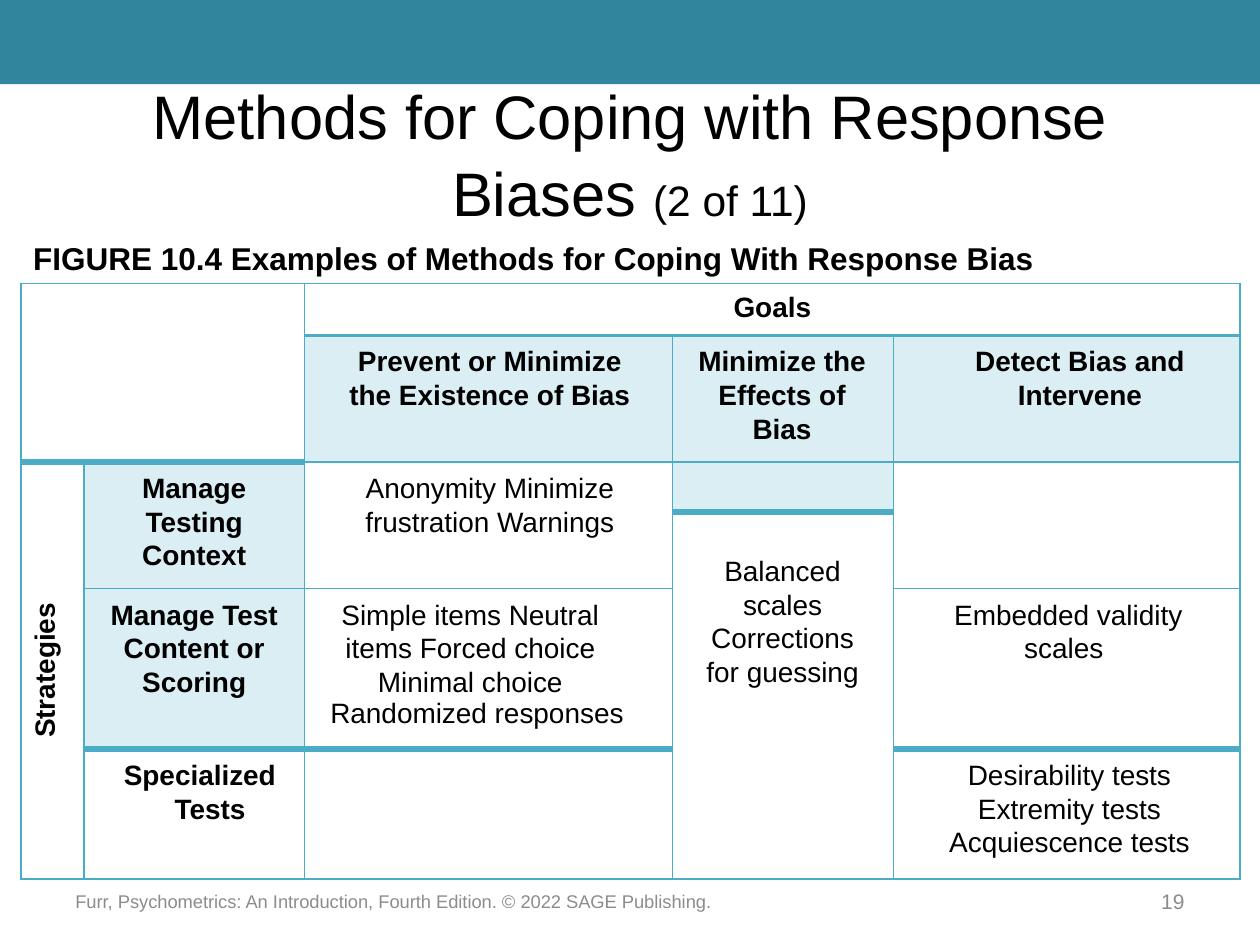
from lxml import etree
from pptx import Presentation
from pptx.dml import color
from pptx.enum import shapes, text
from pptx.oxml import ns
from pptx.util import Cm, Pt

COLORS = {"band": "31859C", "grid": "4BACC6", "ink": "000000", "muted": "8C8C8C"}
FONT = "Arial"
COLUMNS = [1.27, 4.45, 7.42, 4.45, 6.99]
ROWS = [0.99, 2.45, 0.99, 1.45, 3.07, 2.62]
MERGES = [(0, 0, 1, 1), (0, 2, 0, 4), (2, 0, 5, 0), (2, 1, 3, 1),
          (2, 2, 3, 2), (2, 4, 3, 4), (3, 3, 5, 3)]
SHADED = [(1, 2), (1, 3), (1, 4), (2, 1), (2, 3), (4, 1)]
TOP_WEIGHTS = {
    **dict.fromkeys([(1, 2), (1, 3), (1, 4)], 2),
    **dict.fromkeys([(2, 0), (2, 1), (3, 3), (5, 1), (5, 2), (5, 4)], 4),
}
PADDING = 0.18
BODY = {"spacing": 1.08}
HEADING = {"spacing": 1.08, "bold": True}
LABEL = {"bold": True}

CELLS = {
    (0, 2): [("Goals", LABEL, (0, 0, 0))],
    (1, 2): [("Prevent or Minimize the Existence of Bias", HEADING, (0.53, 0.48, 0))],
    (1, 3): [("Minimize the Effects of Bias", HEADING, (0.3, 0.34, 0))],
    (1, 4): [("Detect Bias and Intervene", HEADING, (0.56, 0.03, 0))],
    (2, 0): [("Strategies", LABEL, (0, 0, 0))],
    (2, 1): [("Manage Testing Context", HEADING, (0.48, 0.48, 0))],
    (2, 2): [("Anonymity Minimize frustration Warnings", BODY, (0.48, 0.43, 0))],
    (3, 3): [("Balanced scales Corrections for guessing", BODY, (0.41, 0.43, 0))],
    (4, 1): [("Manage Test Content or Scoring", HEADING, (0.25, 0.25, 0))],
    (4, 2): [("Simple items Neutral items Forced choice Minimal choice", BODY, (0, 0.74, 0)),
             ("Randomized responses", {}, (0.23, 0.7, 0))],
    (4, 4): [("Embedded validity scales", BODY, (0.46, 0.58, 0.18))],
    (5, 1): [("Specialized Tests", HEADING, (0.64, 0, -0.41))],
    (5, 4): [("Desirability tests Extremity tests Acquiescence tests", BODY, (0.36, 0.25, 0))],
}


def apply(target, values):
    for name, value in values.items():
        setattr(target, name, value)


def add_span(para, words, size, tone="ink", bold=False):
    span = para.add_run()
    span.text = words
    apply(span.font, {"name": FONT, "size": Pt(size), "bold": bold})
    span.font.color.rgb = color.RGBColor.from_string(COLORS[tone])


def add_band(page):
    band = page.shapes.add_shape(shapes.MSO_SHAPE.RECTANGLE, 0, 0, Cm(25.4), Cm(1.7))
    band.shadow.inherit = False
    band.fill.solid()
    band.fill.fore_color.rgb = color.RGBColor.from_string(COLORS["band"])
    band.line.fill.background()


def fill_title(page):
    title = page.shapes.title
    apply(title, {"left": Cm(1.27), "top": Cm(1.47), "width": Cm(22.86), "height": Cm(3.18)})
    apply(title.text_frame, {"word_wrap": True, "auto_size": text.MSO_AUTO_SIZE.NONE,
                             "vertical_anchor": text.MSO_ANCHOR.MIDDLE})
    para = title.text_frame.paragraphs[0]
    apply(para, {"alignment": text.PP_ALIGN.CENTER, "line_spacing": 1.05})
    add_span(para, "Methods for Coping with Response Biases ", 35.1)
    add_span(para, "(2 of 11)", 24.3)


def add_label(page, words, place, size, tone="muted", bold=False,
              align=text.PP_ALIGN.LEFT, anchor=text.MSO_ANCHOR.MIDDLE):
    box = page.shapes.add_textbox(*map(Cm, place))
    apply(box.text_frame, {"word_wrap": True, "vertical_anchor": anchor})
    para = box.text_frame.paragraphs[0]
    para.alignment = align
    add_span(para, words, size, tone, bold)


def draw_borders(cell, weights):
    properties = cell._tc.get_or_add_tcPr()
    for index, (side, weight) in enumerate(weights.items()):
        line = etree.Element(ns.qn(f"a:ln{side}"), w=str(Pt(weight)))
        fill = etree.SubElement(line, ns.qn("a:solidFill"))
        etree.SubElement(fill, ns.qn("a:srgbClr"), val=COLORS["grid"])
        properties.insert(index, line)


def shade(cell):
    cell.fill.solid()
    cell.fill.fore_color.rgb = color.RGBColor.from_string(COLORS["grid"])
    tone = cell._tc.tcPr.find(".//" + ns.qn("a:solidFill") + "/" + ns.qn("a:srgbClr"))
    for tone in cell._tc.tcPr.find(ns.qn("a:solidFill")):
        etree.SubElement(tone, ns.qn("a:alpha"), val="20000")


def write_cell(cell, entries):
    apply(cell, {f"margin_{side}": Cm(PADDING) for side in ("left", "right", "top", "bottom")})
    for index, (words, style, (left, right, first)) in enumerate(entries):
        frame = cell.text_frame
        para = frame.add_paragraph() if index else frame.paragraphs[0]
        para.alignment = text.PP_ALIGN.CENTER
        if "spacing" in style:
            para.line_spacing = style["spacing"]
        properties = para._p.get_or_add_pPr()
        for name, value in (("marL", left), ("marR", right), ("indent", first)):
            properties.set(name, str(Cm(value)))
        add_span(para, words, 16, bold=style.get("bold", False))


def add_methods_table(page):
    frame = page.shapes.add_table(len(ROWS), len(COLUMNS), Cm(0.42), Cm(5.72),
                                  Cm(sum(COLUMNS)), Cm(sum(ROWS)))
    table = frame.table
    apply(table, {"first_row": False, "horz_banding": False})
    for column, width in zip(table.columns, COLUMNS):
        column.width = Cm(width)
    for row, height in zip(table.rows, ROWS):
        row.height = Cm(height)
    for top, left, bottom, right in MERGES:
        table.cell(top, left).merge(table.cell(bottom, right))
    for row in range(len(ROWS)):
        for column in range(len(COLUMNS)):
            cell = table.cell(row, column)
            depth = cell.span_height if cell.is_merge_origin else 1
            below = TOP_WEIGHTS.get((row + depth, column), 1)
            above = TOP_WEIGHTS.get((row, column), 1)
            if (row, column) in SHADED:
                shade(cell)
            else:
                cell.fill.background()
            draw_borders(cell, {"L": 1, "R": 1, "T": above, "B": below})
            if (row, column) in CELLS:
                write_cell(cell, CELLS[row, column])
    table.cell(2, 0)._tc.tcPr.set("vert", "vert270")
    table.cell(3, 3).margin_top = Cm(0.84)


def main():
    deck = Presentation()
    apply(deck, {"slide_width": Cm(25.4), "slide_height": Cm(19.05)})
    page = deck.slides.add_slide(deck.slide_layouts[5])
    add_band(page)
    fill_title(page)
    add_label(page, "Furr, Psychometrics: An Introduction, Fourth Edition. © 2022 SAGE Publishing.",
              (1.27, 17.65, 20.96, 1.02), 10.5)
    add_label(page, "19", (22.86, 17.65, 1.27, 1.02), 12, align=text.PP_ALIGN.RIGHT)
    add_methods_table(page)
    add_label(page, "FIGURE 10.4 Examples of Methods for Coping With Response Bias",
              (0.42, 4.7, 24.56, 1.02), 18, "ink", True, anchor=text.MSO_ANCHOR.TOP)
    deck.save("out.pptx")


if __name__ == "__main__":
    main()
